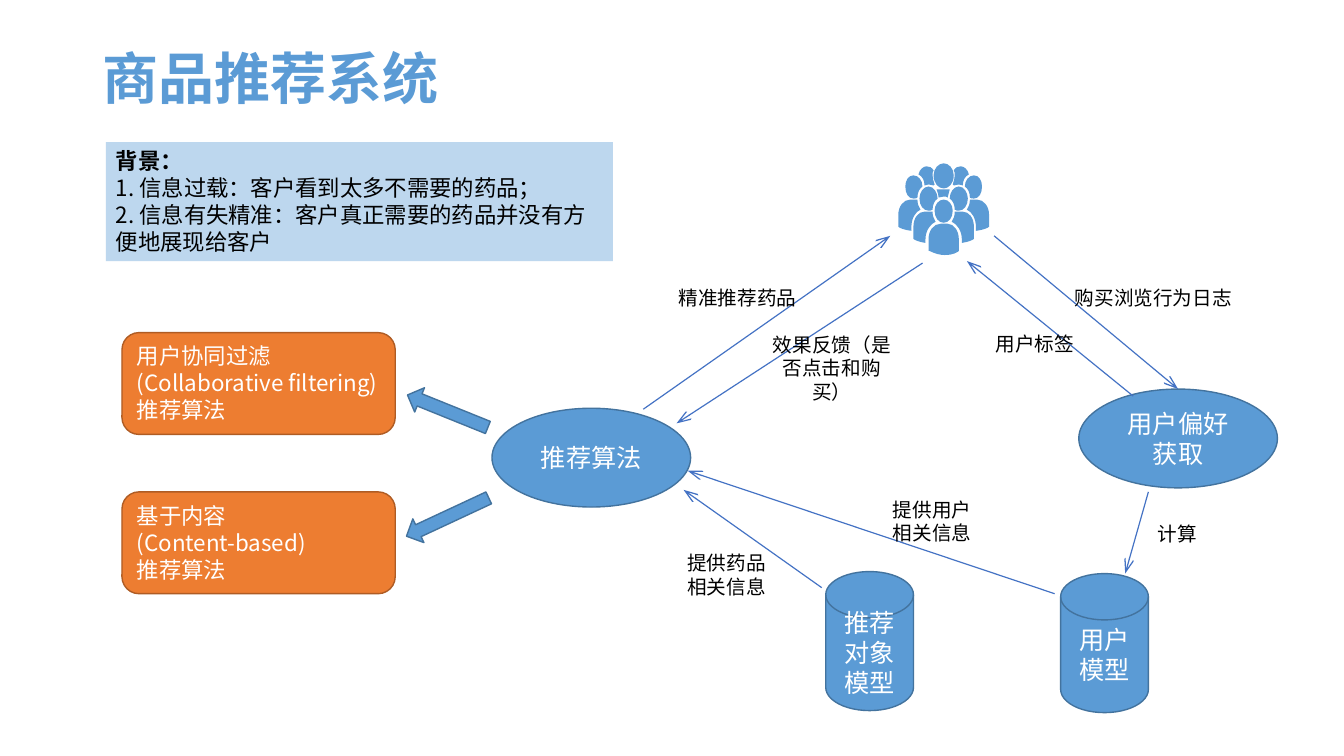
from dataclasses import dataclass

from lxml.etree import SubElement
from pptx import Presentation
from pptx.dml.color import RGBColor
from pptx.enum.shapes import MSO_CONNECTOR as Link, MSO_SHAPE as Kind
from pptx.enum.text import MSO_ANCHOR as Anchor, MSO_AUTO_SIZE as Fit, PP_ALIGN as Align
from pptx.oxml.ns import qn
from pptx.util import Emu, Pt

PX = 9144


@dataclass(frozen=True)
class Theme:
    """Colours, type sizes and line widths of the slide."""
    font: str = "Noto Sans CJK SC"
    blue: str = "5B9BD5"
    blue_edge: str = "43739E"
    orange: str = "ED7D31"
    orange_edge: str = "AF5C24"
    pale: str = "BDD7EE"
    arrow: str = "4472C4"
    ink: str = "000000"
    white: str = "FFFFFF"
    title: int = 40
    node: int = 18
    body: int = 16
    label: int = 14
    edge_width: float = 1
    arrow_width: float = 0.85


THEME = Theme()

FRONT_BODY = [(42, 60), (49, 60), (55, 60, 60, 67, 60, 75), (60, 87), (59, 88, 55, 91, 46, 91),
              (42, 91, 37, 90, 31, 87), (30, 87), (30, 75), (30, 67, 35, 60, 42, 60)]
FRONT_HEAD = [(45, 36), (50, 36, 54, 41, 54, 47), (54, 54, 50, 59, 45, 59),
              (40, 59, 36, 54, 36, 47), (36, 41, 40, 36, 45, 36)]
CHEST = [(41, 26), (51, 26), (50, 28, 50, 31, 49, 34), (48, 33, 47, 33, 45, 33),
         (43, 33, 42, 33, 40, 34), (40, 31, 39, 29, 38, 26)]
BACK_HEAD = [(45, 0), (50, 0, 55, 5, 55, 12), (55, 20, 50, 25, 45, 25),
             (40, 25, 35, 20, 35, 12), (35, 5, 40, 0, 45, 0)]
MIDDLE_BODY = [(56, 48), (64, 48), (70, 48, 75, 54, 75, 63), (75, 75), (74, 76, 70, 78, 63, 79),
               (63, 75), (63, 67, 58, 60, 53, 58), (55, 55, 56, 52, 56, 48)]
MIDDLE_HEAD = [(60, 23), (65, 23, 69, 29, 69, 35), (69, 42, 65, 47, 60, 47),
               (59, 47, 57, 47, 56, 46), (56, 41, 54, 37, 51, 35), (51, 29, 55, 23, 60, 23)]
OUTER_BODY = [(71, 36), (78, 36), (85, 36, 90, 43, 90, 51), (90, 63), (89, 64, 85, 66, 77, 67),
              (77, 63), (77, 55, 73, 48, 68, 46), (70, 43, 71, 40, 71, 36)]
OUTER_HEAD = [(75, 12), (80, 12, 83, 17, 83, 23), (83, 30, 80, 35, 75, 35),
              (73, 35, 72, 35, 71, 34), (71, 29, 69, 25, 66, 23), (66, 17, 70, 12, 75, 12)]
REAR_HEAD = [(62, 3), (65, 3, 69, 6, 70, 11), (66, 13, 64, 17, 64, 22), (63, 22, 61, 21, 60, 21),
             (58, 21, 57, 21, 55, 22), (54, 21), (55, 18, 56, 15, 56, 12),
             (56, 10, 56, 8, 55, 7), (57, 4, 59, 3, 62, 3)]
CENTRED = [FRONT_BODY, FRONT_HEAD, CHEST, BACK_HEAD]
PAIRED = [MIDDLE_BODY, MIDDLE_HEAD, OUTER_BODY, OUTER_HEAD, REAR_HEAD]


def px(*lengths):
    """Turn px lengths into EMU."""
    return [Emu(length * PX) for length in lengths]


def write(box, *lines, size, color, align=Align.LEFT, anchor=Anchor.TOP, bold_first=False,
          grow=False, spacing=None):
    """Put one paragraph per line into a box."""
    frame = box.text_frame
    frame.word_wrap = True
    frame.vertical_anchor = anchor
    frame.auto_size = Fit.SHAPE_TO_FIT_TEXT if grow else Fit.NONE
    for index, line in enumerate(lines):
        para = frame.add_paragraph() if index else frame.paragraphs[0]
        para.alignment = align
        if spacing:
            para.line_spacing = spacing
        span = para.add_run()
        span.text = line
        span.font.name = THEME.font
        span.font.size = Pt(size)
        span.font.bold = bold_first and index == 0
        span.font.color.rgb = RGBColor.from_string(color)
        SubElement(span.font._element, qn("a:ea"), typeface=THEME.font)


def paint(shape, fill, edge=None):
    """Give a shape a flat fill and an optional outline."""
    shape.shadow.inherit = False
    shape.fill.solid()
    shape.fill.fore_color.rgb = RGBColor.from_string(fill)
    if edge:
        shape.line.color.rgb = RGBColor.from_string(edge)
        shape.line.width = Pt(THEME.edge_width)
    else:
        shape.line.fill.background()
    return shape


def add_node(page, kind, bounds, *lines):
    """Draw a blue shape with centred text."""
    node = paint(page.shapes.add_shape(kind, *px(*bounds)), THEME.blue, THEME.blue_edge)
    if lines:
        write(node, *lines, size=THEME.node, color=THEME.white, align=Align.CENTER,
              anchor=Anchor.MIDDLE)
    return node


def add_label(page, bounds, text):
    """Write a centred caption beside an arrow."""
    write(page.shapes.add_textbox(*px(*bounds)), text, size=THEME.label, color=THEME.ink,
          align=Align.CENTER, grow=True)


def add_arrow(page, ends):
    """Draw a thin open-headed arrow."""
    arrow = page.shapes.add_connector(Link.STRAIGHT, *px(*ends))
    arrow.line.color.rgb = RGBColor.from_string(THEME.arrow)
    arrow.line.width = Pt(THEME.arrow_width)
    SubElement(arrow.line._get_or_add_ln(), qn("a:tailEnd"), type="arrow", w="med", len="lg")
    SubElement(arrow._element.spPr, qn("a:effectLst"))
    return arrow


def mirror(contour, width):
    """Flip a contour left to right."""
    return [tuple(value if index % 2 else width - value for index, value in enumerate(part))
            for part in contour]


def trace(outline, contour):
    """Add one closed contour of lines and cubic curves to a path."""
    for index, part in enumerate(contour):
        name = "a:moveTo" if index == 0 else "a:lnTo" if len(part) == 2 else "a:cubicBezTo"
        command = SubElement(outline, qn(name))
        for x, y in zip(part[::2], part[1::2]):
            SubElement(command, qn("a:pt"), x=str(x), y=str(y))
    SubElement(outline, qn("a:close"))


def draw_crowd(page, left, top, width, height):
    """Draw the symmetric group of customers as one curved outline."""
    builder = page.shapes.build_freeform(0, 0, scale=PX)
    builder.add_line_segments([(width, 0), (width, height), (0, height)])
    crowd = paint(builder.convert_to_shape(*px(left, top)), THEME.blue)
    outline = next(crowd._element.iter(qn("a:path")))
    for command in list(outline):
        outline.remove(command)
    for contour in CENTRED + PAIRED + [mirror(contour, width) for contour in PAIRED]:
        trace(outline, contour)


def draw_heading(page, left, top):
    """Place the title and the background panel."""
    title = page.shapes.add_textbox(*px(left, top, 599, 81))
    write(title, "商品推荐系统", size=THEME.title, color=THEME.blue, anchor=Anchor.MIDDLE,
          bold_first=True, spacing=0.9)
    panel = paint(page.shapes.add_shape(Kind.RECTANGLE, *px(left + 13, top + 101, 503, 118)),
                  THEME.pale)
    write(panel, "背景：", "1. 信息过载：客户看到太多不需要的药品；",
          "2. 信息有失精准：客户真正需要的药品并没有方便地展现给客户",
          size=THEME.body, color=THEME.ink, bold_first=True, grow=True)


def draw_methods(page, left, top):
    """Place the two algorithm cards and the block arrows to them."""
    cards = [(["用户协同过滤(Collaborative filtering)推荐算法"], Anchor.TOP),
             (["基于内容", "(Content-based)", "推荐算法"], Anchor.MIDDLE)]
    for index, (lines, anchor) in enumerate(cards):
        bounds = px(left, top + index * 158, 271, 101)
        card = paint(page.shapes.add_shape(Kind.ROUNDED_RECTANGLE, *bounds),
                     THEME.orange, THEME.orange_edge)
        write(card, *lines, size=THEME.body, color=THEME.white, anchor=anchor, grow=True)
    for x, y, width, angle in [(280, 65, 86, 22), (278, 170, 90, 335)]:
        add_node(page, Kind.LEFT_ARROW, (left + x, top + y, width, 26)).rotation = angle


def draw_flow(page, left, top):
    """Place the recommendation loop with its nodes, arrows and captions."""
    def at(x, y, width, height):
        return left + x, top + y, width, height

    add_node(page, Kind.FLOWCHART_MAGNETIC_DISK, at(564, 407, 87, 138), "用户模型")
    add_node(page, Kind.FLOWCHART_MAGNETIC_DISK, at(331, 405, 87, 138), "推荐对象模型")
    preference = add_node(page, Kind.OVAL, at(582, 224, 197, 98), "用户偏好", "获取")
    add_node(page, Kind.OVAL, at(0, 243, 197, 98), "推荐算法")
    draw_crowd(page, *at(403, 0, 90, 91))
    behaviour = (498, 72, 680, 224)
    others = [(636, 231, 471, 97), (427, 99, 183, 258), (150, 244, 395, 72),
              (651, 326, 628, 407), (558, 427, 194, 305), (327, 421, 190, 324)]
    arrows = [add_arrow(page, (left + x1, top + y1, left + x2, top + y2))
              for x1, y1, x2, y2 in [behaviour, *others]]
    arrows[0].end_connect(preference, 0)
    captions = [((471, 162, 135, 34), "用户标签"), ((265, 163, 144, 57), "效果反馈（是否点击和购买）"),
                ((145, 117, 197, 34), "精准推荐药品"), ((636, 351, 88, 34), "计算"),
                ((568, 117, 176, 34), "购买浏览行为日志"), ((380, 327, 113, 57), "提供用户相关信息"),
                ((176, 380, 113, 57), "提供药品相关信息")]
    for bounds, text in captions:
        add_label(page, at(*bounds), text)


def main():
    """Build and save the deck."""
    deck = Presentation()
    deck.slide_width, deck.slide_height = px(1333, 750)
    page = deck.slides.add_slide(deck.slide_layouts[6])
    draw_heading(page, 92, 40)
    draw_flow(page, 488, 162)
    draw_methods(page, 121, 330)
    deck.save("out.pptx")


if __name__ == "__main__":
    main()
